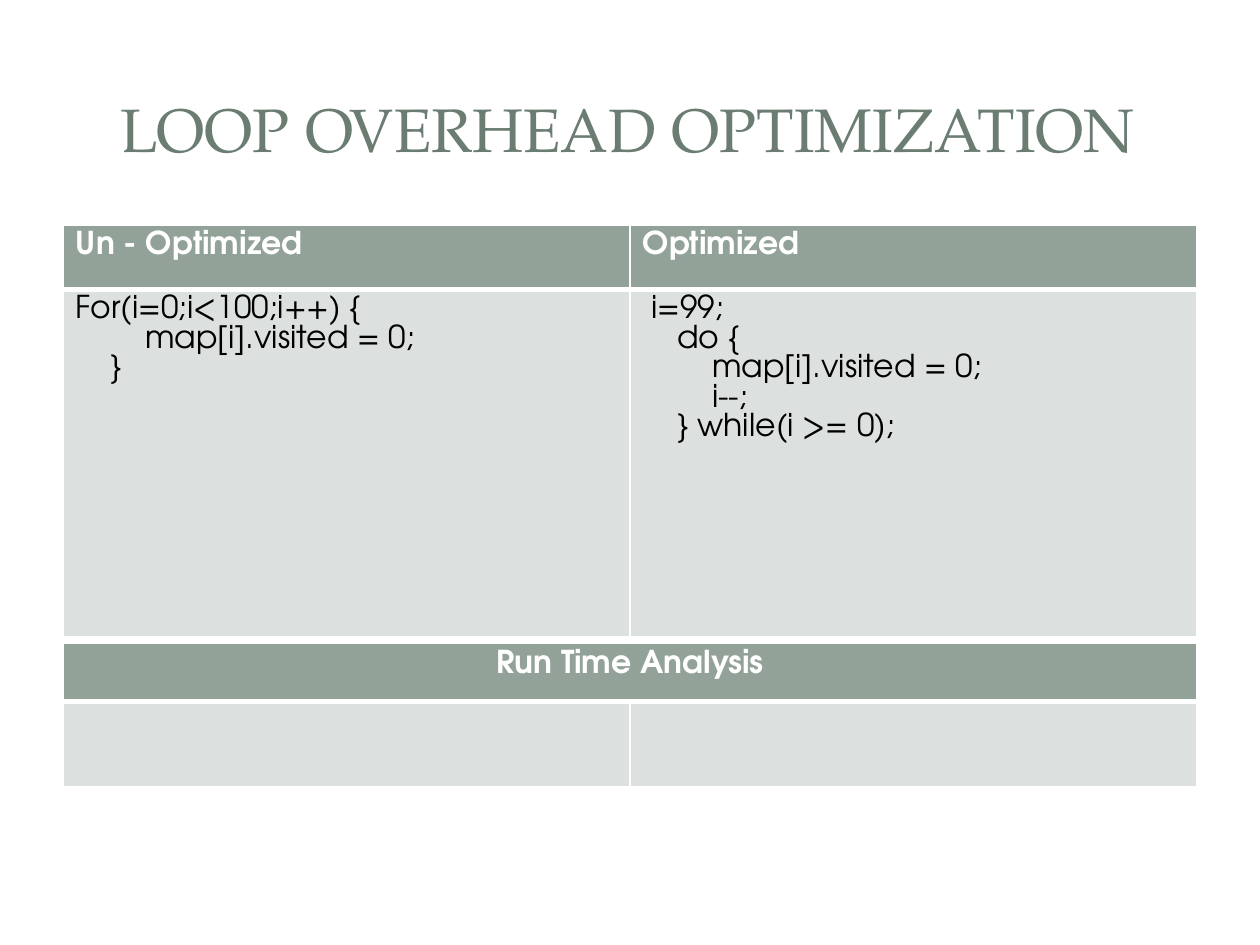
"""Build the loop overhead optimization slide."""
from dataclasses import dataclass

from lxml.etree import SubElement
from pptx import Presentation
from pptx.dml.color import RGBColor
from pptx.enum.shapes import MSO_SHAPE
from pptx.enum.text import MSO_ANCHOR, PP_ALIGN
from pptx.oxml.ns import qn
from pptx.util import Cm, Pt


@dataclass(frozen=True)
class Theme:
    title_font: str = "TeX Gyre Pagella"
    body_font: str = "TeX Gyre Adventor"
    title_size: int = 35
    body_size: int = 18
    title_color: str = "6B7D72"
    header_fill: str = "93A299"
    body_fill: str = "DCE0DE"
    light: str = "FFFFFF"
    dark: str = "000000"
    thin: int = 1
    thick: int = 3
    indent: float = 0.7


class SlideBuilder:
    def __init__(self, slide, theme):
        self.slide = slide
        self.theme = theme

    def add_run(self, paragraph, words, font, size, color, bold=False):
        run = paragraph.add_run()
        run.text = words
        run.font.name = font
        run.font.size = Pt(size)
        run.font.bold = bold
        run.font.color.rgb = RGBColor.from_string(color)

    def panel(self, left, top, width, height, corner=None, opacity=None):
        outline = MSO_SHAPE.RECTANGLE if corner is None else MSO_SHAPE.ROUNDED_RECTANGLE
        panel = self.slide.shapes.add_shape(outline, Cm(left), Cm(top), Cm(width), Cm(height))
        if corner is not None:
            panel.adjustments[0] = corner
        panel.shadow.inherit = False
        panel.line.fill.background()
        panel.fill.solid()
        panel.fill.fore_color.rgb = RGBColor.from_string(self.theme.light)
        if opacity is not None:
            color = panel._element.spPr.find(f"{qn('a:solidFill')}/{qn('a:srgbClr')}")
            SubElement(color, qn("a:alpha"), val=str(opacity * 1000))

    def title(self, words, left, top, width, height):
        heading = self.slide.shapes.title
        self.slide.shapes._spTree.append(heading._element)
        heading.left, heading.top = Cm(left), Cm(top)
        heading.width, heading.height = Cm(width), Cm(height)
        heading.text_frame.vertical_anchor = MSO_ANCHOR.MIDDLE
        paragraph = heading.text_frame.paragraphs[0]
        paragraph.alignment = PP_ALIGN.CENTER
        theme = self.theme
        self.add_run(paragraph, words, theme.title_font, theme.title_size, theme.title_color)

    def borders(self, cell, is_header):
        theme = self.theme
        properties = cell._tc.get_or_add_tcPr()
        for side in ("lnL", "lnR", "lnT", "lnB"):
            weight = theme.thick if is_header and side == "lnB" else theme.thin
            line = SubElement(properties, qn(f"a:{side}"), w=str(Pt(weight)))
            fill = SubElement(line, qn("a:solidFill"))
            SubElement(fill, qn("a:srgbClr"), val=theme.light)

    def cell(self, cell, lines, is_header, alignment):
        theme = self.theme
        self.borders(cell, is_header)
        cell.fill.solid()
        cell.fill.fore_color.rgb = RGBColor.from_string(
            theme.header_fill if is_header else theme.body_fill)
        color = theme.light if is_header else theme.dark
        for index, (level, words) in enumerate(lines):
            frame = cell.text_frame
            paragraph = frame.add_paragraph() if index else frame.paragraphs[0]
            paragraph.alignment = alignment
            if level:
                paragraph._p.get_or_add_pPr().set("marL", str(Cm(level * theme.indent)))
            self.add_run(paragraph, words, theme.body_font, theme.body_size, color, is_header)

    def table(self, rows, left, top, width, heights, merge_header=False):
        columns = len(rows[0])
        grid = self.slide.shapes.add_table(
            len(rows), columns, Cm(left), Cm(top), Cm(width), Cm(sum(heights))).table
        grid.horz_banding = False
        for column in grid.columns:
            column.width = Cm(width / columns)
        for index, (row, height) in enumerate(zip(rows, heights)):
            grid.rows[index].height = Cm(height)
            is_header = index == 0
            centred = is_header and merge_header
            alignment = PP_ALIGN.CENTER if centred else PP_ALIGN.LEFT
            for position, lines in enumerate(row):
                self.cell(grid.cell(index, position), lines, is_header, alignment)
        if merge_header:
            grid.cell(0, 0).merge(grid.cell(0, columns - 1))


def main():
    deck = Presentation()
    deck.slide_width, deck.slide_height = Cm(25.4), Cm(19.05)
    builder = SlideBuilder(deck.slides.add_slide(deck.slide_layouts[5]), Theme())
    builder.panel(0.25, 0.28, 24.89, 18.52, corner=0.02)
    builder.panel(0.76, 0.76, 23.88, 3.68, opacity=83)
    builder.panel(1.04, 1.04, 23.29, 3.1)
    builder.title("LOOP OVERHEAD OPTIMIZATION", 1.19, 1.14, 22.94, 2.9)

    unoptimized = [(0, "For(i=0;i<100;i++) {"), (2, "map[i].visited = 0;"), (1, "}")]
    optimized = [
        (0.25, "i=99;"),
        (1, "do {"),
        (2, "map[i].visited = 0;"),
        (2, "i--;"),
        (1, "} while(i >= 0);"),
    ]
    comparison = [[[(0, "Un - Optimized")], [(0, "Optimized")]], [unoptimized, optimized]]
    analysis = [[[(0, "Run Time Analysis")], []], [[], []]]
    left, width = 1.27, 22.86
    builder.table(comparison, left, 4.54, width, (1.29, 7.01))
    builder.table(analysis, left, 12.97, width, (1.17, 1.71), merge_header=True)
    deck.save("out.pptx")


if __name__ == "__main__":
    main()
